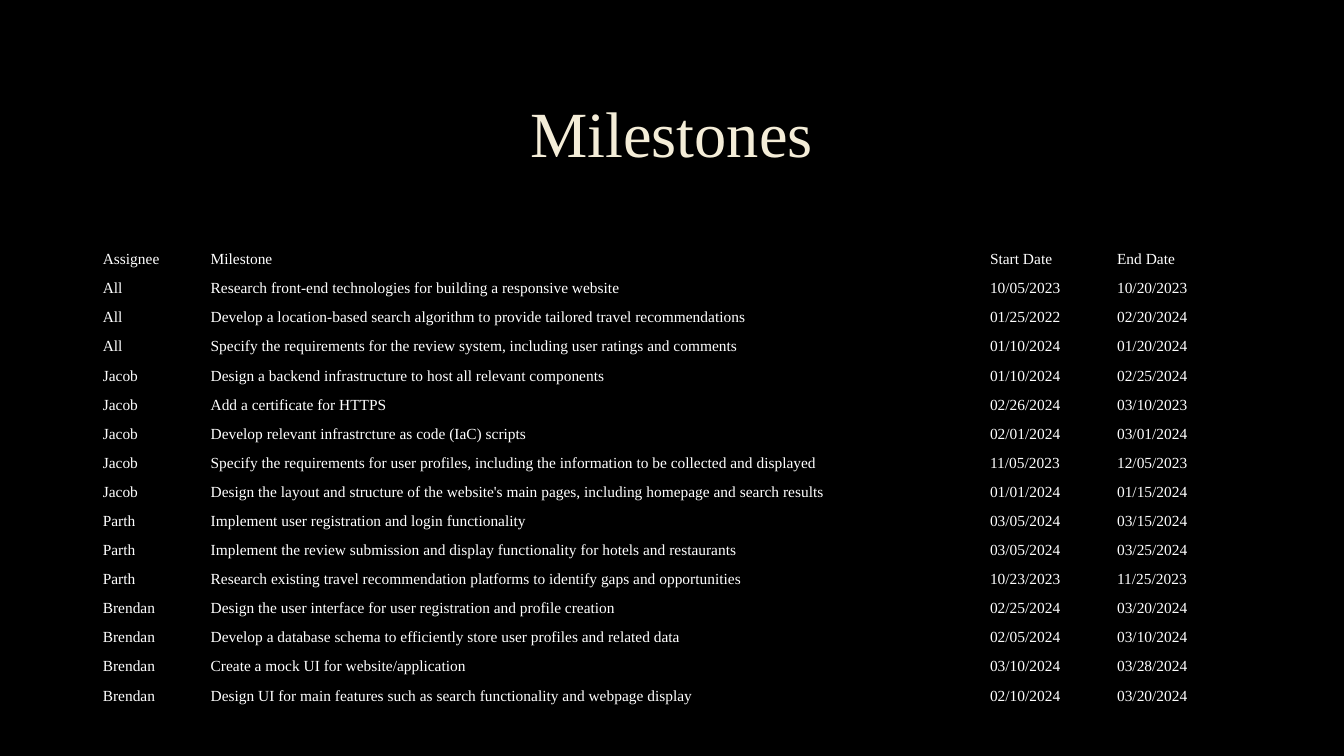
from lxml import etree
from pptx import Presentation
from pptx.dml.color import RGBColor
from pptx.enum.text import MSO_ANCHOR as Anchor, PP_ALIGN as Align
from pptx.oxml import parse_xml
from pptx.oxml.ns import nsdecls, qn
from pptx.util import Inches, Pt

BLACK = RGBColor(0x00, 0x00, 0x00)
WHITE = RGBColor(0xFF, 0xFF, 0xFF)
CREAM = RGBColor(0xF4, 0xED, 0xD8)
OUTLINE = RGBColor(0x40, 0x40, 0x40)
FONT = "Times New Roman"
NO_STYLE_NO_GRID = "{2D5ABB26-0587-4C30-8999-92F81FD0307C}"

TITLE_BOX = (1, 0.67, 11.32, 1.38)
TABLE_BOX = (1, 2.43, 11.32, 4.62)
COLUMN_WIDTHS = (1.07, 7.73, 1.26, 1.26)

MILESTONES = [
    ("Assignee", "Milestone", "Start Date", "End Date"),
    ("All", "Research front-end technologies for building a responsive website", "10/05/2023", "10/20/2023"),
    ("All", "Develop a location-based search algorithm to provide tailored travel recommendations",
     "01/25/2022", "02/20/2024"),
    ("All", "Specify the requirements for the review system, including user ratings and comments",
     "01/10/2024", "01/20/2024"),
    ("Jacob", "Design a backend infrastructure to host all relevant components", "01/10/2024", "02/25/2024"),
    ("Jacob", "Add a certificate for HTTPS", "02/26/2024", "03/10/2023"),
    ("Jacob", "Develop relevant infrastrcture as code (IaC) scripts", "02/01/2024", "03/01/2024"),
    ("Jacob", "Specify the requirements for user profiles, including the information to be collected and displayed",
     "11/05/2023", "12/05/2023"),
    ("Jacob", "Design the layout and structure of the website's main pages, including homepage and search results",
     "01/01/2024", "01/15/2024"),
    ("Parth", "Implement user registration and login functionality", "03/05/2024", "03/15/2024"),
    ("Parth", "Implement the review submission and display functionality for hotels and restaurants",
     "03/05/2024", "03/25/2024"),
    ("Parth", "Research existing travel recommendation platforms to identify gaps and opportunities",
     "10/23/2023", "11/25/2023"),
    ("Brendan", "Design the user interface for user registration and profile creation", "02/25/2024", "03/20/2024"),
    ("Brendan", "Develop a database schema to efficiently store user profiles and related data",
     "02/05/2024", "03/10/2024"),
    ("Brendan", "Create a mock UI for website/application", "03/10/2024", "03/28/2024"),
    ("Brendan", "Design UI for main features such as search functionality and webpage display",
     "02/10/2024", "03/20/2024"),
]


def style_font(font, size, color):
    font.name = FONT
    font.size = Pt(size)
    font.color.rgb = color


def outline_text(span, color, width, opacity):
    line = parse_xml(
        f'<a:ln {nsdecls("a")} w="{Pt(width)}"><a:solidFill><a:srgbClr val="{color}">'
        f'<a:alpha val="{opacity * 1000}"/></a:srgbClr></a:solidFill></a:ln>')
    span.font._element.insert(0, line)


def add_title(page, text, box):
    frame = page.shapes.add_textbox(*map(Inches, box)).text_frame
    frame.word_wrap = True
    frame.vertical_anchor = Anchor.MIDDLE
    para = frame.paragraphs[0]
    para.alignment = Align.CENTER
    para.line_spacing = 0.9
    span = para.add_run()
    span.text = text
    style_font(span.font, 46, CREAM)
    outline_text(span, OUTLINE, 0.75, 10)


def fill_cell(cell, text):
    cell.fill.background()
    cell.vertical_anchor = Anchor.MIDDLE
    cell.margin_left = cell.margin_right = Inches(0.02)
    cell.margin_top = cell.margin_bottom = Inches(0.01)
    cell.text = text
    style_font(cell.text_frame.paragraphs[0].font, 11, WHITE)


def add_milestone_table(page, records, box):
    frame = page.shapes.add_table(len(records), len(COLUMN_WIDTHS), *map(Inches, box))
    table = frame.table
    table.first_row = table.horz_banding = False
    frame._element.find(f".//{qn('a:tableStyleId')}").text = NO_STYLE_NO_GRID
    for column, width in zip(table.columns, COLUMN_WIDTHS):
        column.width = Inches(width)
    for row, record in zip(table.rows, records):
        row.height = Inches(box[3] / len(records))
        for cell, text in zip(row.cells, record):
            fill_cell(cell, text)


def build_milestones_page(deck):
    page = deck.slides.add_slide(deck.slide_layouts[6])
    page.background.fill.solid()
    page.background.fill.fore_color.rgb = BLACK
    add_title(page, "Milestones", TITLE_BOX)
    add_milestone_table(page, MILESTONES, TABLE_BOX)


def main():
    deck = Presentation()
    deck.slide_width = Inches(13.33)
    deck.slide_height = Inches(7.5)
    build_milestones_page(deck)
    deck.save("out.pptx")


if __name__ == "__main__":
    main()
